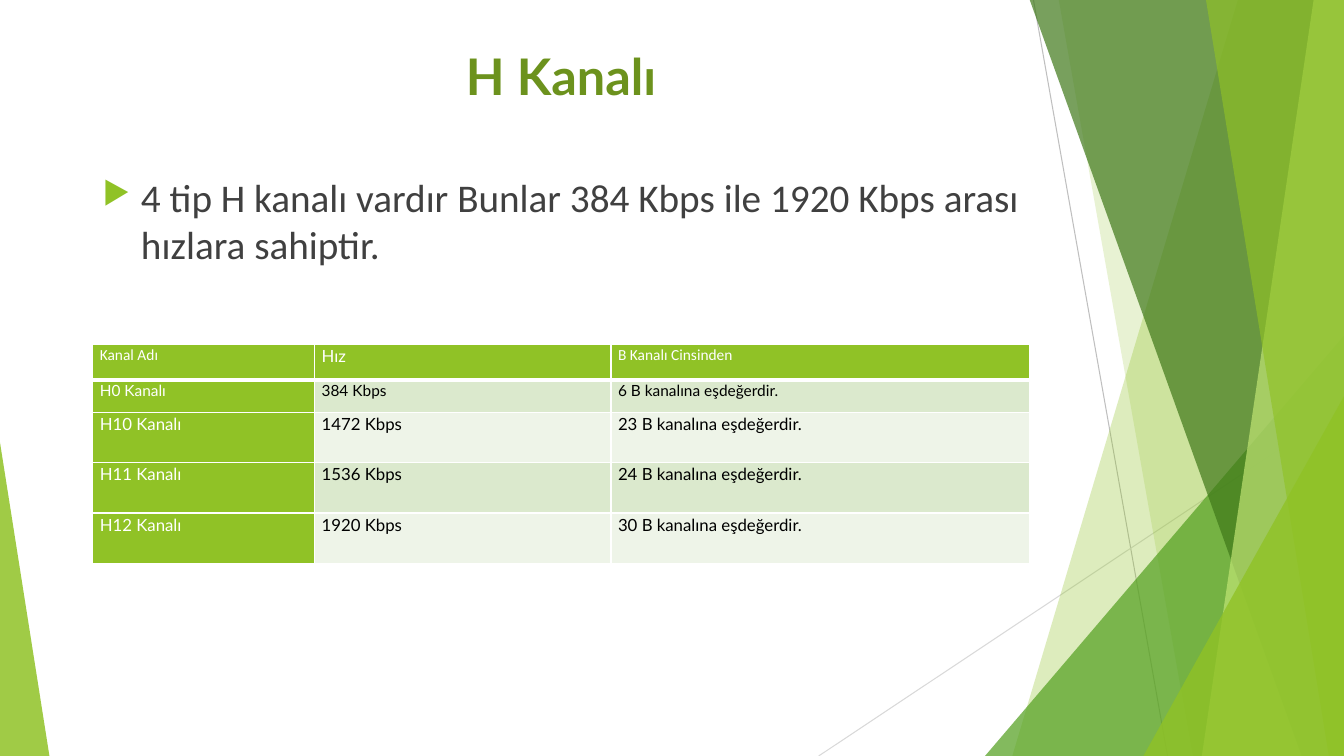
from lxml import etree
from pptx import Presentation
from pptx import util as u
from pptx.dml.color import RGBColor
from pptx.enum import shapes, text
from pptx.oxml.ns import qn

GREEN, WHITE = "90C226", "FFFFFF"
WIDTH, HEIGHT, TOP = 13.33, 7.5, -0.01


def color(value):
    return RGBColor.from_string(value)


def add_xml(parent, tag, **attributes):
    return etree.SubElement(parent, qn(tag), attributes)


class SlideBuilder:
    title_font, body_font = "Lato", "Calibri"

    def __init__(self, slide):
        self.shapes = slide.shapes

    def paint(self, shape, fill, opacity):
        shape.shadow.inherit = False
        shape.fill.solid()
        shape.fill.fore_color.rgb = color(fill)
        shape.line.fill.background()
        solid = shape.fill._xPr.find(qn("a:solidFill"))
        add_xml(solid[0], "a:alpha", val=str(opacity * 1000))

    def line(self, start, end, stroke):
        line = self.shapes.add_connector(
            shapes.MSO_CONNECTOR.STRAIGHT, *map(u.Inches, start + end))
        line.line.color.rgb = color(stroke)
        line.line.width = u.Pt(0.75)
        add_xml(line._element.spPr, "a:effectLst")

    def blade(self, top_left, bottom_left, fill, opacity):
        """Four-sided band that runs to the right edge of the slide."""
        corners = [(top_left, TOP), (WIDTH, TOP), (WIDTH, HEIGHT), (bottom_left, HEIGHT)]
        points = [(u.Inches(x), u.Inches(y)) for x, y in corners]
        outline = self.shapes.build_freeform(*points[0])
        outline.add_line_segments(points[1:], close=True)
        self.paint(outline.convert_to_shape(), fill, opacity)

    def triangle(self, left, top, width, apex, fill, opacity):
        """Triangle that stands on the bottom edge of the slide."""
        shape = self.shapes.add_shape(
            shapes.MSO_SHAPE.ISOSCELES_TRIANGLE,
            *map(u.Inches, (left, top, width, HEIGHT - top)))
        shape.adjustments[0] = apex
        self.paint(shape, fill, opacity)

    def style(self, para, words, font, size, ink):
        para.text = words
        para.font.name = font
        para.font.size = u.Pt(size)
        para.font.color.rgb = color(ink)

    def text(self, place, words, font, size, ink):
        box = self.shapes.add_textbox(*map(u.Inches, place))
        box.text_frame.word_wrap = True
        box.text_frame.vertical_anchor = text.MSO_ANCHOR.TOP
        para = box.text_frame.paragraphs[0]
        self.style(para, words, font, size, ink)
        return para

    def title(self, place, words):
        para = self.text(place, words, self.title_font, 36, "6C921D")
        para.alignment = text.PP_ALIGN.CENTER
        para.font.bold = True

    def bullet(self, place, words):
        para = self.text(place, words, self.body_font, 28, "404040")
        para.space_before = u.Pt(10)
        props = para._p.get_or_add_pPr()
        indent = u.Inches(0.38)
        props.set("marL", str(indent))
        props.set("indent", str(-indent))
        # Bullet parts go ahead of the default run properties
        marks = [add_xml(props, "a:buClr"), add_xml(props, "a:buSzPct", val="80000"),
                 add_xml(props, "a:buChar", char="▶")]
        add_xml(marks[0], "a:srgbClr", val=GREEN)
        default_run = props.find(qn("a:defRPr"))
        for mark in marks:
            default_run.addprevious(mark)

    def borders(self, cell, bottom):
        props = cell._tc.get_or_add_tcPr()
        for side, width in (("L", 1), ("R", 1), ("T", 1), ("B", bottom)):
            edge = add_xml(props, f"a:ln{side}", w=str(u.Pt(width)))
            add_xml(add_xml(edge, "a:solidFill"), "a:srgbClr", val=WHITE)

    def table(self, place, widths, heights, rows):
        frame = self.shapes.add_table(
            len(rows), len(widths), *map(u.Inches, place))
        table = frame.table
        table.first_row = table.horz_banding = False
        for column, width in zip(table.columns, widths):
            column.width = u.Inches(width)
        for r, (row, height) in enumerate(zip(rows, heights)):
            table.rows[r].height = u.Inches(height)
            for c, words in enumerate(row):
                cell = table.cell(r, c)
                heading = r == 0 or c == 0
                self.borders(cell, 3 if r == 0 else 1)
                cell.fill.solid()
                cell.fill.fore_color.rgb = color(
                    GREEN if heading else "DBE9CD" if r % 2 else "EEF4E8")
                cell.margin_left = cell.margin_right = u.Inches(0.07)
                cell.margin_top = cell.margin_bottom = 0
                para = cell.text_frame.paragraphs[0]
                para.line_spacing = 1.07
                font = self.body_font if r == 0 and c != 1 else self.title_font
                size = 12 if r > 1 or (r, c) == (0, 1) else 11
                self.style(para, words, font, size, WHITE if heading else "000000")


def main():
    deck = Presentation()
    deck.slide_width, deck.slide_height = u.Inches(WIDTH), u.Inches(HEIGHT)
    page = SlideBuilder(deck.slides.add_slide(deck.slide_layouts[6]))

    # Green facets along the edges
    page.line((10.25, 0), (11.58, HEIGHT), "BFBFBF")
    page.line((WIDTH, 4.03), (8.12, HEIGHT), "D9D9D9")
    page.blade(12.28, 10.04, GREEN, 30)
    page.blade(10.5, 11.83, GREEN, 20)
    page.triangle(9.77, 3.33, 3.56, 1, "54A021", 72)
    page.blade(10.21, 12.91, "3F7819", 70)
    page.blade(13.03, 11.92, "C0E474", 70)
    page.blade(11.96, 13.18, GREEN, 65)
    page.triangle(11.34, 3.93, 1.99, 1, GREEN, 80)
    page.triangle(0, 4.39, 0.49, 0, GREEN, 85)

    # Heading and statement
    page.title((0.92, 0.4, 9.29, 0.95), "H Kanalı")
    page.bullet((0.92, 1.67, 9.29, 1.23),
                "4 tip H kanalı vardır Bunlar 384 Kbps ile 1920 Kbps arası hızlara sahiptir.")

    # Channel table
    channels = [("H0", 384, 6), ("H10", 1472, 23), ("H11", 1536, 24), ("H12", 1920, 30)]
    rows = [("Kanal Adı", "Hız", "B Kanalı Cinsinden")]
    rows += [(f"{name} Kanalı", f"{speed} Kbps", f"{count} B kanalına eşdeğerdir.")
             for name, speed, count in channels]
    page.table((0.92, 3.42, 9.29, 2.15), (2.2, 2.94, 4.15),
               (0.35, 0.32, 0.5, 0.5, 0.5), rows)

    deck.save("out.pptx")


if __name__ == "__main__":
    main()
